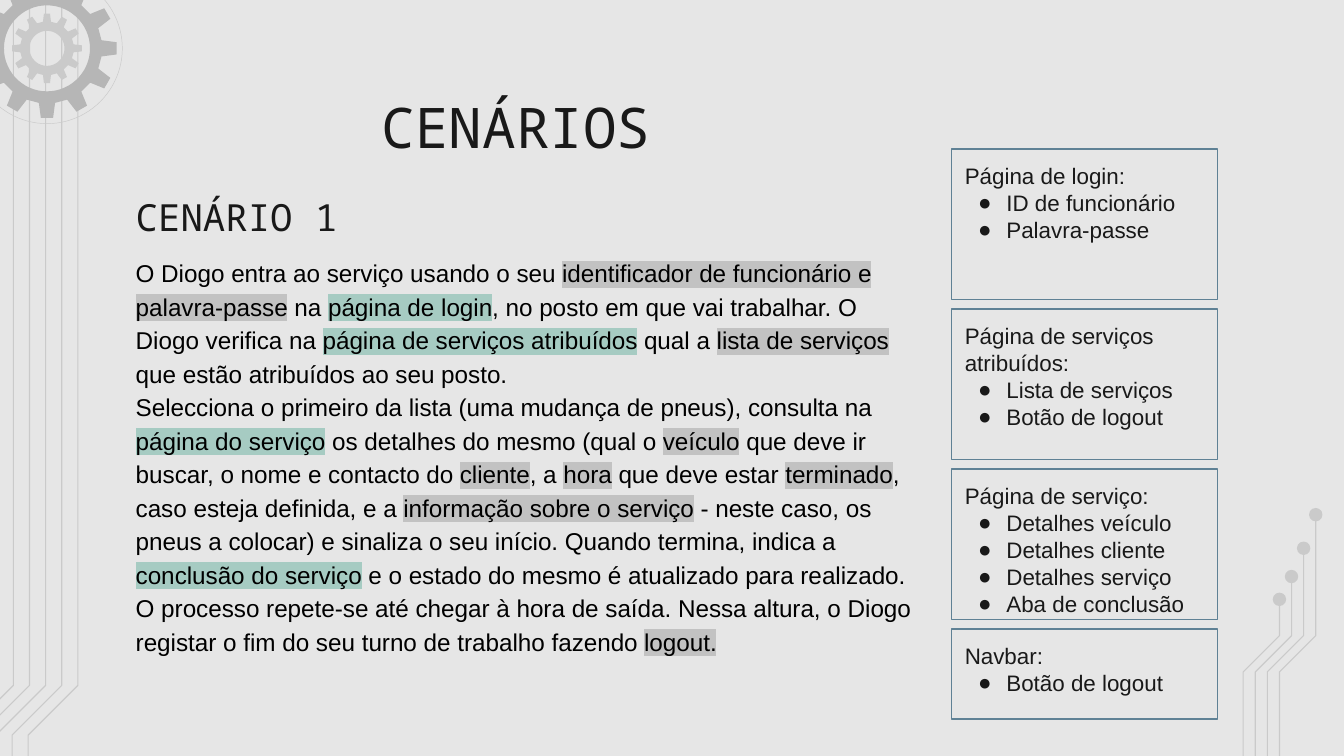
from math import cos, radians, sin

from lxml.etree import SubElement
from pptx import Presentation
from pptx.dml.color import RGBColor
from pptx.enum.shapes import MSO_SHAPE
from pptx.enum.text import MSO_ANCHOR, MSO_AUTO_SIZE, PP_ALIGN
from pptx.oxml.ns import qn
from pptx.util import Inches, Pt

BACK = RGBColor(0xE6, 0xE6, 0xE6)
TRACE = RGBColor(0xCA, 0xCA, 0xCA)
STEEL = RGBColor(0xB6, 0xB6, 0xB6)
EDGE = RGBColor(0x5F, 0x81, 0x95)
INK = RGBColor(0x19, 0x19, 0x19)
BLACK = RGBColor(0, 0, 0)
GREY = RGBColor(0xC2, 0xC2, 0xC2)
GREEN = RGBColor(0xA6, 0xCB, 0xC2)
MONO, SANS = "Noto Sans Mono", "Arial"

TITLE = "CENÁRIOS"
HEADING = "CENÁRIO 1"
# Each paragraph is a list of (text, highlight).
STORY = [
    [
        ("O Diogo entra ao serviço usando o seu ", None),
        ("identificador de funcionário e palavra-passe", GREY),
        (" na ", None),
        ("página de login", GREEN),
        (", no posto em que vai trabalhar. O Diogo verifica na ", None),
        ("página de serviços atribuídos", GREEN),
        (" qual a ", None),
        ("lista de serviços", GREY),
        (" que estão atribuídos ao seu posto.", None),
    ],
    [
        ("Selecciona o primeiro da lista (uma mudança de pneus), consulta na ", None),
        ("página do serviço", GREEN),
        (" os detalhes do mesmo (qual o ", None),
        ("veículo", GREY),
        (" que deve ir buscar, o nome e contacto do ", None),
        ("cliente", GREY),
        (", a ", None),
        ("hora", GREY),
        (" que deve estar ", None),
        ("terminado", GREY),
        (", caso esteja definida, e a ", None),
        ("informação sobre o serviço", GREY),
        (" - neste caso, os pneus a colocar) e sinaliza o seu início. "
         "Quando termina, indica a ", None),
        ("conclusão do serviço", GREEN),
        (" e o estado do mesmo é atualizado para realizado. O processo "
         "repete-se até chegar à hora de saída. Nessa altura, o Diogo registar "
         "o fim do seu turno de trabalho fazendo ", None),
        ("logout.", GREY),
    ],
]
# (heading, items, box height)
PAGES = [
    ("Página de login:", ["ID de funcionário", "Palavra-passe"], 1.12),
    ("Página de serviços atribuídos:", ["Lista de serviços", "Botão de logout"], 1.12),
    ("Página de serviço:", ["Detalhes veículo", "Detalhes cliente",
                            "Detalhes serviço", "Aba de conclusão"], 1.12),
    ("Navbar:", ["Botão de logout"], 0.67),
]

WIDE = 10
HIGH = WIDE * 9 / 16
HUB = (0.35, 0.36)
# (tip radius, root radius, hole radius, colour)
GEARS = [(0.26, 0.2, 0.13, TRACE), (0.52, 0.41, 0.32, STEEL)]
TEETH = 12
RIM = 0.56
PIN_TOPS = [3.83, 4.08, 4.29, 4.46]
DOT = 0.1
BOX_X, BOX_Y, BOX_W, BOX_GAP = 7.08, 1.11, 1.98, 0.07


def draw(shapes, loops, close):
    """Build one freeform from lists of points in inches."""
    loops = [[(Inches(x), Inches(y)) for x, y in loop] for loop in loops]
    pen = shapes.build_freeform(*loops[0][0])
    pen.add_line_segments(loops[0][1:], close=close)
    for loop in loops[1:]:
        pen.move_to(*loop[0])
        pen.add_line_segments(loop[1:], close=close)
    form = pen.convert_to_shape()
    form.shadow.inherit = False
    return form


def add_trace(shapes, points):
    form = draw(shapes, [points], False)
    form.fill.background()
    form.line.color.rgb = TRACE
    form.line.width = Pt(0.6)


def add_disc(shapes, x, y, size):
    disc = shapes.add_shape(MSO_SHAPE.OVAL, Inches(x - size / 2),
                            Inches(y - size / 2), Inches(size), Inches(size))
    disc.shadow.inherit = False
    return disc


def polar(radius, angle):
    turn = radians(angle)
    return HUB[0] + radius * sin(turn), HUB[1] - radius * cos(turn)


def add_gear(shapes, tip, root, hole, color):
    step = 360 / TEETH
    tooth = [(root, -8.5), (tip, -5), (tip, 5), (root, 8.5)]
    outer = [polar(r, i * step + a) for i in range(TEETH) for r, a in tooth]
    inner = [polar(hole, -a) for a in range(0, 360, 6)]
    form = draw(shapes, [outer, inner], True)
    form.fill.solid()
    form.fill.fore_color.rgb = color
    form.line.fill.background()


def style(run, size, face, color):
    run.font.size = Pt(size)
    run.font.name = face
    run.font.color.rgb = color


def mark(run, color):
    """Highlight a run whose font is already set."""
    props = run.font._element
    light = SubElement(props, qn("a:highlight"))
    SubElement(light, qn("a:srgbClr"), val=str(color))
    props.find(qn("a:latin")).addprevious(light)


def set_frame(frame, anchor=MSO_ANCHOR.TOP):
    frame.word_wrap = True
    frame.auto_size = MSO_AUTO_SIZE.NONE
    frame.vertical_anchor = anchor
    frame.margin_left = frame.margin_right = Inches(0.1)
    frame.margin_top = frame.margin_bottom = Inches(0.1)


def set_bullet(para, char=None):
    props = para._p.get_or_add_pPr()
    if char is None:
        props.set("marL", "0")
        props.set("indent", "0")
        SubElement(props, qn("a:buNone"))
        return
    props.set("marL", str(Inches(0.31)))
    props.set("indent", str(Inches(-0.21)))
    color = SubElement(props, qn("a:buClr"))
    SubElement(color, qn("a:srgbClr"), val=str(INK))
    SubElement(props, qn("a:buFont"), typeface=SANS)
    SubElement(props, qn("a:buChar"), char=char)


def place(shape, x, y, w, h):
    shape.left, shape.top = Inches(x), Inches(y)
    shape.width, shape.height = Inches(w), Inches(h)


def add_decor(shapes):
    for i in range(5):
        x = 0.1 + 0.12 * i
        add_trace(shapes, [(x, 0), (x, 5.1), (x - 0.37, 5.47), (x - 0.37, HIGH)])
    for i, top in enumerate(PIN_TOPS):
        x = 9.79 - 0.09 * i
        add_trace(shapes, [(x, top), (x, 4.73), (x - 0.27, 5), (x - 0.27, HIGH)])
        dot = add_disc(shapes, x, top, DOT)
        dot.fill.solid()
        dot.fill.fore_color.rgb = TRACE
        dot.line.fill.background()
    for gear in GEARS:
        add_gear(shapes, *gear)
    rim = add_disc(shapes, *HUB, 2 * RIM)
    rim.fill.background()
    rim.line.color.rgb = TRACE
    rim.line.width = Pt(0.25)


def add_text(slide):
    title, story, head = slide.placeholders
    place(title, 0.79, 0.59, 6.1, 0.63)
    place(story, 0.91, 1.79, 5.97, 3.39)
    place(head, 0.91, 1.07, 4, 0.81)

    for shape, text, size, align, anchor in [
        (title, TITLE, 30, PP_ALIGN.CENTER, MSO_ANCHOR.TOP),
        (head, HEADING, 20, PP_ALIGN.LEFT, MSO_ANCHOR.BOTTOM),
    ]:
        set_frame(shape.text_frame, anchor)
        shape.text_frame.text = text
        para = shape.text_frame.paragraphs[0]
        set_bullet(para)
        para.alignment = align
        para.space_before = Pt(0)
        style(para.runs[0], size, MONO, INK)

    frame = story.text_frame
    set_frame(frame)
    for i, parts in enumerate(STORY):
        para = frame.add_paragraph() if i else frame.paragraphs[0]
        set_bullet(para)
        para.line_spacing = 1.15
        para.space_before = Pt(0)
        for text, color in parts:
            run = para.add_run()
            run.text = text
            style(run, 13, SANS, BLACK)
            if color is not None:
                mark(run, color)


def add_pages(shapes):
    y = BOX_Y
    for name, items, high in PAGES:
        box = shapes.add_shape(MSO_SHAPE.RECTANGLE, Inches(BOX_X), Inches(y),
                               Inches(BOX_W), Inches(high))
        box.shadow.inherit = False
        box.fill.background()
        box.line.color.rgb = EDGE
        box.line.width = Pt(0.75)
        set_frame(box.text_frame)
        box.text_frame.text = "\n".join([name, *items])
        for i, para in enumerate(box.text_frame.paragraphs):
            if i:
                set_bullet(para, "●")
            para.alignment = PP_ALIGN.LEFT
            style(para.runs[0], 12, SANS, INK)
        y += high + BOX_GAP


def main():
    deck = Presentation()
    deck.slide_width, deck.slide_height = Inches(WIDE), Inches(HIGH)
    slide = deck.slides.add_slide(deck.slide_layouts.get_by_name("Two Content"))
    slide.background.fill.solid()
    slide.background.fill.fore_color.rgb = BACK
    add_decor(slide.shapes)
    add_text(slide)
    add_pages(slide.shapes)
    deck.save("out.pptx")


if __name__ == "__main__":
    main()
